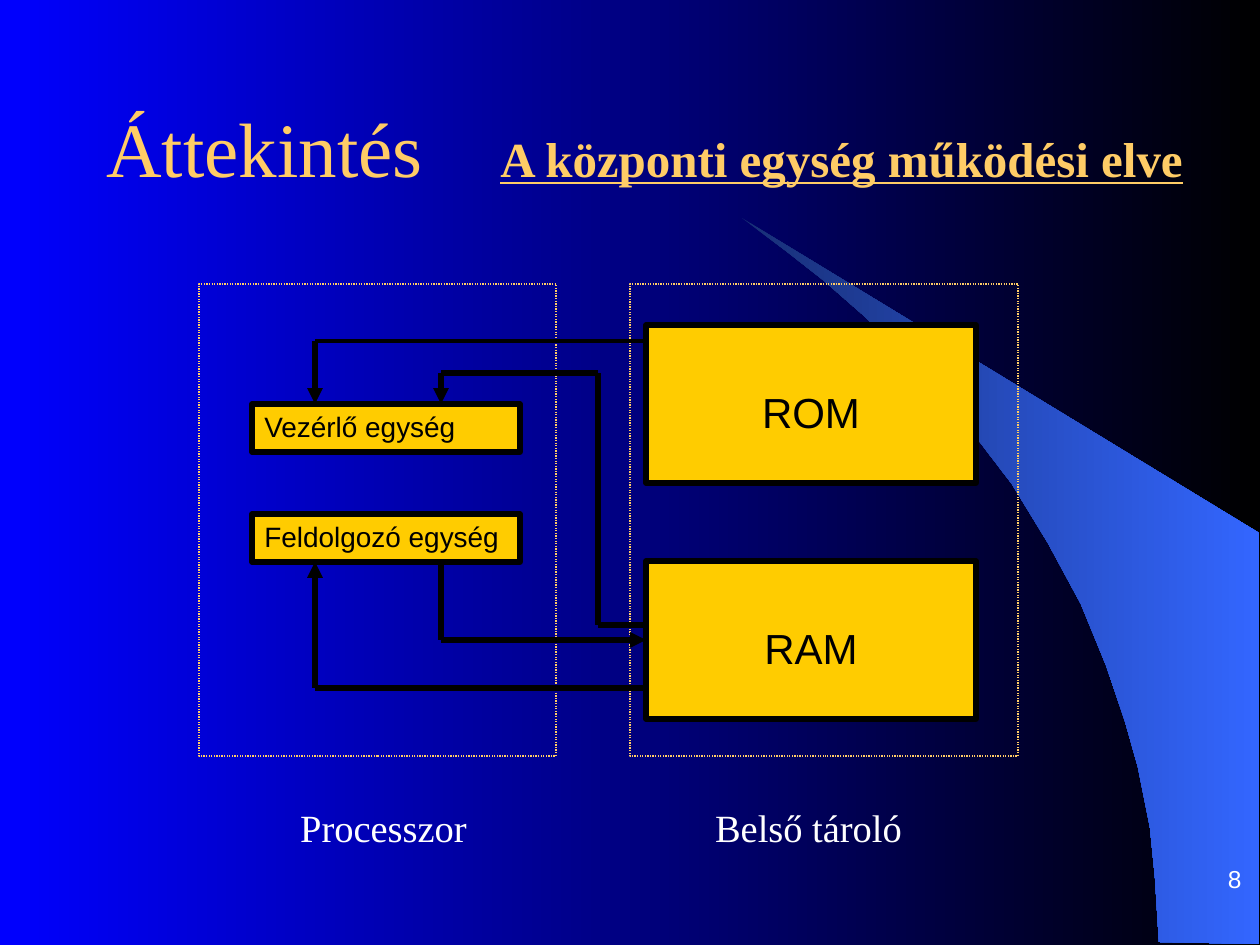
from itertools import pairwise

from lxml import etree
from pptx import Presentation
from pptx.dml.color import RGBColor
from pptx.enum.dml import MSO_LINE
from pptx.enum.shapes import MSO_CONNECTOR, MSO_SHAPE
from pptx.enum.text import MSO_ANCHOR, PP_ALIGN
from pptx.oxml.ns import qn
from pptx.util import Pt

PX = 914400 / 126
RECTANGLE = MSO_SHAPE.RECTANGLE
STRAIGHT = MSO_CONNECTOR.STRAIGHT
DOTTED = MSO_LINE.ROUND_DOT
LEFT, CENTER, RIGHT = PP_ALIGN.LEFT, PP_ALIGN.CENTER, PP_ALIGN.RIGHT
TOP, MIDDLE, BOTTOM = MSO_ANCHOR.TOP, MSO_ANCHOR.MIDDLE, MSO_ANCHOR.BOTTOM
SANS, SERIF = "Arial", "Times New Roman"
LEFT_SIDE = 1
COLORS = {
    "blue": "0000FF",
    "black": "000000",
    "sail_dark": "182F76",
    "sail_light": "3366FF",
    "gold": "FFCC66",
    "box": "FFCC00",
    "white": "FFFFFF",
}


def px(value):
    return round(value * PX)


def color(name):
    return RGBColor.from_string(COLORS[name])


class SlideBuilder:
    def __init__(self, presentation):
        self.slide = presentation.slides.add_slide(presentation.slide_layouts[6])
        self.shapes = self.slide.shapes

    def gradient(self, fill, start, end):
        fill.gradient()
        fill.gradient_angle = 0
        for stop, name in zip(fill.gradient_stops, (start, end)):
            stop.color.rgb = color(name)

    def sail(self, points):
        builder = self.shapes.build_freeform(*points[0], scale=PX)
        builder.add_line_segments(points[1:], close=True)
        shape = builder.convert_to_shape()
        shape.shadow.inherit = False
        self.gradient(shape.fill, "sail_dark", "sail_light")
        shape.line.fill.background()

    def rectangle(self, left, top, width, height, line, weight):
        shape = self.shapes.add_shape(RECTANGLE, *map(px, (left, top, width, height)))
        shape.shadow.inherit = False
        shape.line.color.rgb = color(line)
        shape.line.width = Pt(weight)
        return shape

    def frame(self, *bounds):
        shape = self.rectangle(*bounds, "gold", 0.75)
        shape.fill.background()
        shape.line.dash_style = DOTTED

    def box(self, text, bounds, size, align=LEFT, inset=6):
        shape = self.rectangle(*bounds, "black", 3)
        shape.fill.solid()
        shape.fill.fore_color.rgb = color("box")
        self.set_text(shape, text, size, SANS, "black", align, TOP, inset)
        return shape

    def set_text(self, shape, text, size, font, name, align=LEFT, anchor=TOP, inset=6):
        frame = shape.text_frame
        frame.word_wrap = True
        frame.vertical_anchor = anchor
        frame.margin_top = px(inset)
        paragraph = frame.paragraphs[0]
        paragraph.text = text
        paragraph.alignment = align
        paragraph.font.size = Pt(size)
        paragraph.font.name = font
        paragraph.font.color.rgb = color(name)

    def label(self, text, bounds, size, font, **options):
        shape = self.shapes.add_textbox(*map(px, bounds))
        self.set_text(shape, text, size, font, "white", **options)

    def title(self, bounds, heading, subtitle, tab):
        shape = self.shapes.add_textbox(*map(px, bounds))
        frame = shape.text_frame
        frame.word_wrap = True
        frame.vertical_anchor = MIDDLE
        paragraph = frame.paragraphs[0]
        properties = paragraph._p.get_or_add_pPr()
        tabs = etree.SubElement(properties, qn("a:tabLst"))
        etree.SubElement(tabs, qn("a:tab"), pos=str(px(tab)), algn="l")
        paragraph.font.name = SERIF
        paragraph.font.color.rgb = color("gold")
        for text, size, strong in ((heading + "\t", 44, False), (subtitle, 28, True)):
            run = paragraph.add_run()
            run.text = text
            run.font.size = Pt(size)
            run.font.bold = strong
            run.font.underline = strong

    def segment(self, start, end, weight):
        connector = self.shapes.add_connector(STRAIGHT, *map(px, (*start, *end)))
        etree.SubElement(connector._element.spPr, qn("a:effectLst"))
        connector.line.color.rgb = color("black")
        connector.line.width = Pt(weight)
        return connector

    def route(self, points, first_weight=3, target=None):
        weight = first_weight
        for start, end in pairwise(points):
            connector = self.segment(start, end, weight)
            weight = 3
        line = connector.line._get_or_add_ln()
        etree.SubElement(line, qn("a:tailEnd"), type="triangle")
        if target is not None:
            connector.end_connect(target, LEFT_SIDE)


def main():
    presentation = Presentation()
    presentation.slide_width = px(1260)
    presentation.slide_height = px(945)
    builder = SlideBuilder(presentation)
    builder.gradient(builder.slide.background.fill, "blue", "black")
    builder.sail([
        (1159, 942), (1259, 944), (1259, 533), (742, 218), (786, 251), (823, 280),
        (863, 315), (902, 353), (960, 416), (1012, 484), (1048, 543), (1081, 604),
        (1106, 665), (1125, 721), (1138, 767), (1150, 827), (1155, 877),
    ])
    builder.label("8", (992, 847, 262, 53), 14, SANS, align=RIGHT, anchor=BOTTOM)
    builder.frame(630, 284, 388, 472)
    builder.frame(199, 284, 357, 472)
    builder.title((94, 84, 1114, 126), "Áttekintés", "A központi egység működési elve", 394)

    for text, top in (("Vezérlő egység", 404), ("Feldolgozó egység", 514)):
        builder.box(text, (252, top, 268, 48), 16)
    rom, ram = [
        builder.box(text, (646, top, 330, 158), 24, CENTER, 61)
        for text, top in (("ROM", 325), ("RAM", 561))
    ]

    builder.route([(646, 341), (315, 341), (315, 404)], first_weight=2.25)
    builder.route([(646, 625), (598, 625), (598, 373), (441, 373), (441, 404)])
    builder.route([(441, 562), (441, 640), (646, 640)], target=ram)
    builder.route([(646, 688), (315, 688), (315, 562)])

    for text, left, width in (("Processzor", 231, 305), ("Belső tároló", 672, 273)):
        builder.label(text, (left, 798, width, 59), 22, SERIF, align=CENTER)
    presentation.save("out.pptx")


if __name__ == "__main__":
    main()
